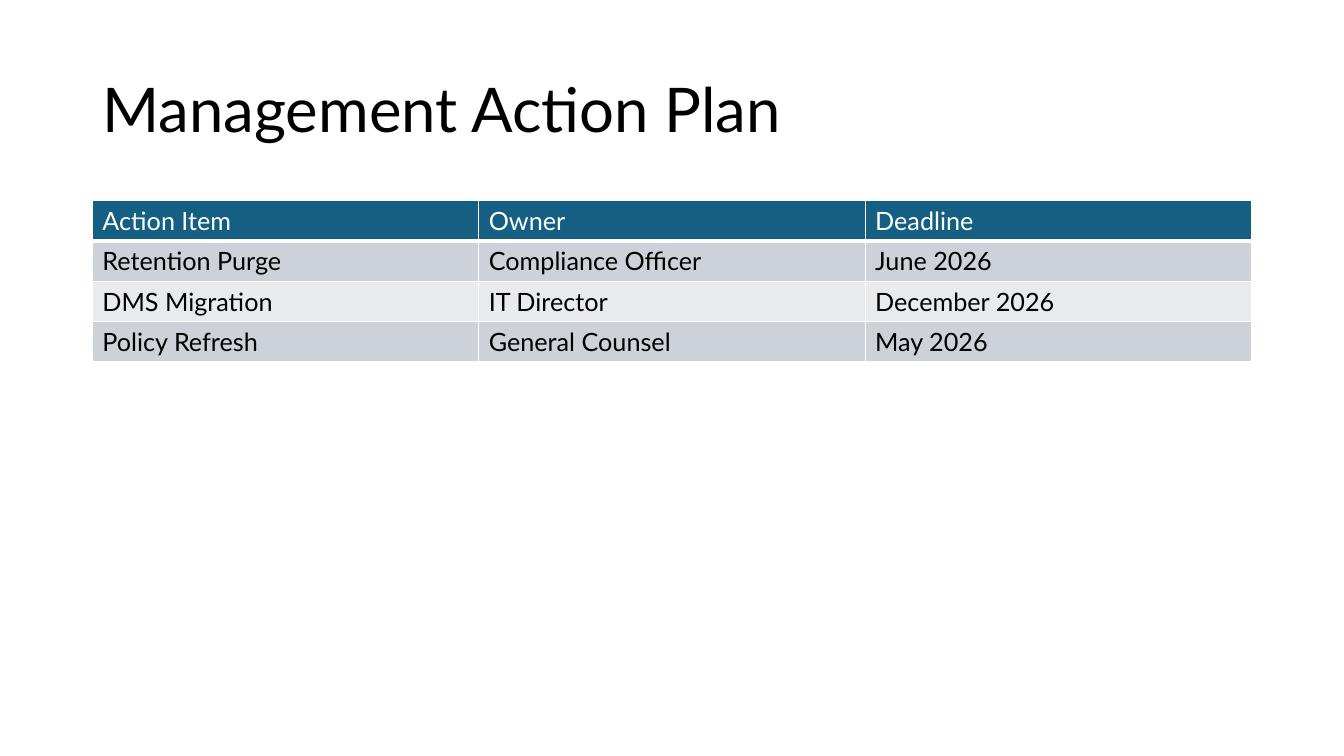
from dataclasses import dataclass

from lxml import etree
from pptx import Presentation
from pptx import util as u
from pptx.dml.color import RGBColor
from pptx.enum import text
from pptx.oxml.ns import qn

PX = u.Inches(1) // 96


@dataclass(frozen=True)
class Theme:
    font: str = "Lato"
    title_size: int = 44
    cell_size: int = 18
    ink: str = "000000"
    paper: str = "FFFFFF"
    header: str = "156082"
    bands: tuple = ("CCD2D8", "E8EAED")
    rule: int = 1
    header_rule: int = 3


THEME = Theme()

ACTIONS = [
    ("Action Item", "Owner", "Deadline"),
    ("Retention Purge", "Compliance Officer", "June 2026"),
    ("DMS Migration", "IT Director", "December 2026"),
    ("Policy Refresh", "General Counsel", "May 2026"),
]


def px(*lengths):
    return [n * PX for n in lengths]


def write(tf, content, size, color=THEME.ink, line_spacing=None):
    p = tf.paragraphs[0]
    p.alignment = text.PP_ALIGN.LEFT
    p.line_spacing = line_spacing
    r = p.add_run()
    r.text = content
    r.font.name = THEME.font
    r.font.size = u.Pt(size)
    r.font.color.rgb = RGBColor.from_string(color)


def add_title(s, content, left, top, width, height):
    sp = s.shapes.title
    sp.left, sp.top, sp.width, sp.height = px(left, top, width, height)
    tf = sp.text_frame
    tf.auto_size = text.MSO_AUTO_SIZE.NONE
    tf.vertical_anchor = text.MSO_ANCHOR.MIDDLE
    write(tf, content, THEME.title_size, line_spacing=0.9)


def set_borders(cell, bottom):
    """Rule all four sides; the lines must come before the fill in tcPr."""
    tcPr = cell._tc.get_or_add_tcPr()
    for i, side in enumerate("LRTB"):
        width = bottom if side == "B" else THEME.rule
        ln = etree.Element(qn(f"a:ln{side}"), w=str(u.Pt(width)))
        fill = etree.SubElement(ln, qn("a:solidFill"))
        etree.SubElement(fill, qn("a:srgbClr"), val=THEME.paper)
        tcPr.insert(i, ln)


def add_action_table(s, rows, left, top, width, row_height):
    frame = s.shapes.add_table(len(rows), len(rows[0]),
                               *px(left, top, width, row_height * len(rows)))
    for i, row in enumerate(rows):
        is_header = i == 0
        fill = THEME.header if is_header else THEME.bands[(i - 1) % 2]
        for j, content in enumerate(row):
            cell = frame.table.cell(i, j)
            cell.fill.solid()
            cell.fill.fore_color.rgb = RGBColor.from_string(fill)
            set_borders(cell, THEME.header_rule if is_header else THEME.rule)
            write(cell.text_frame, content, THEME.cell_size,
                  color=THEME.paper if is_header else THEME.ink)


def main():
    prs = Presentation()
    prs.slide_width, prs.slide_height = px(1280, 720)
    s = prs.slides.add_slide(prs.slide_layouts[5])
    add_title(s, "Management Action Plan", 88, 38, 1104, 139)
    add_action_table(s, ACTIONS, 88, 191, 1104, 38)
    prs.save("out.pptx")


if __name__ == "__main__":
    main()
